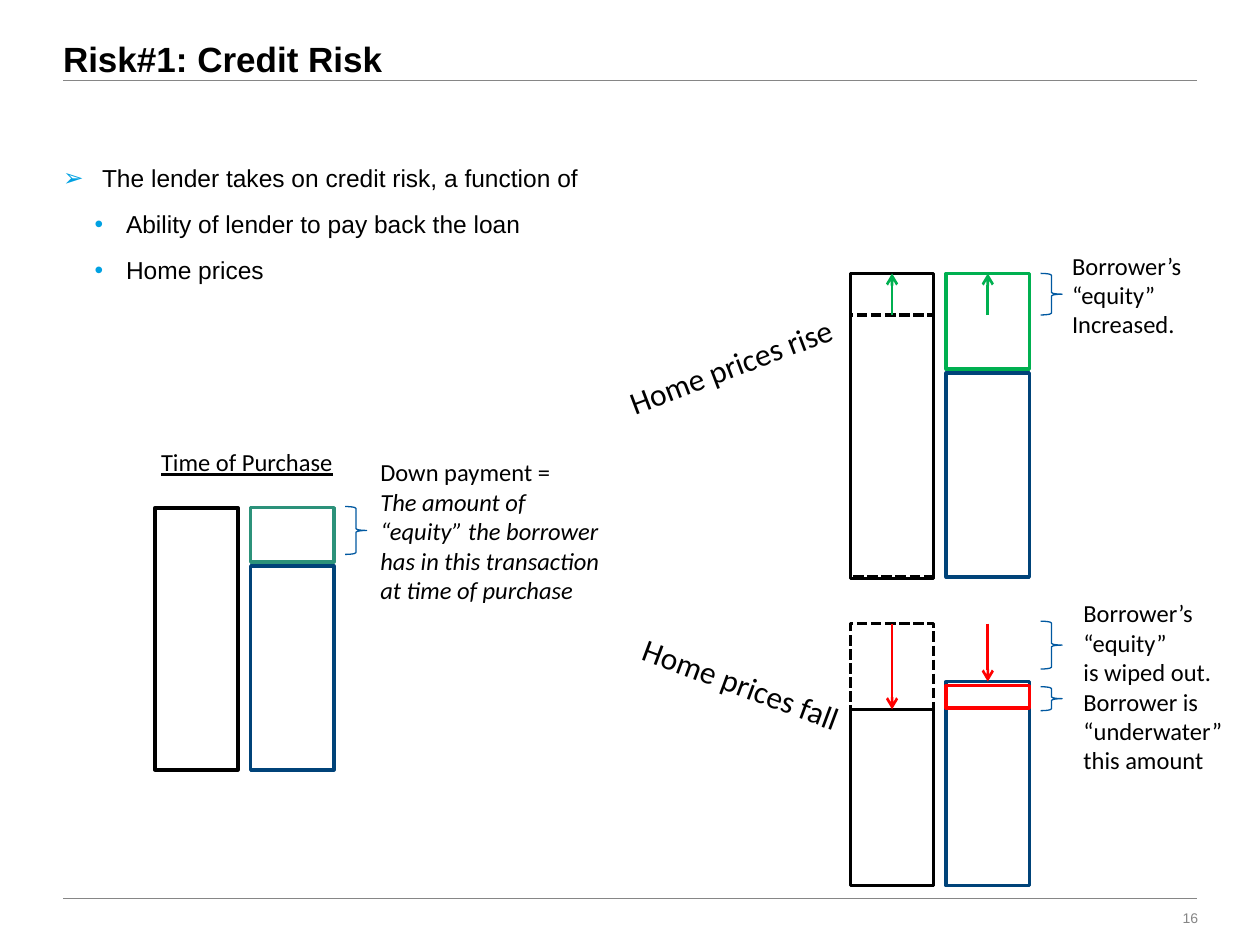
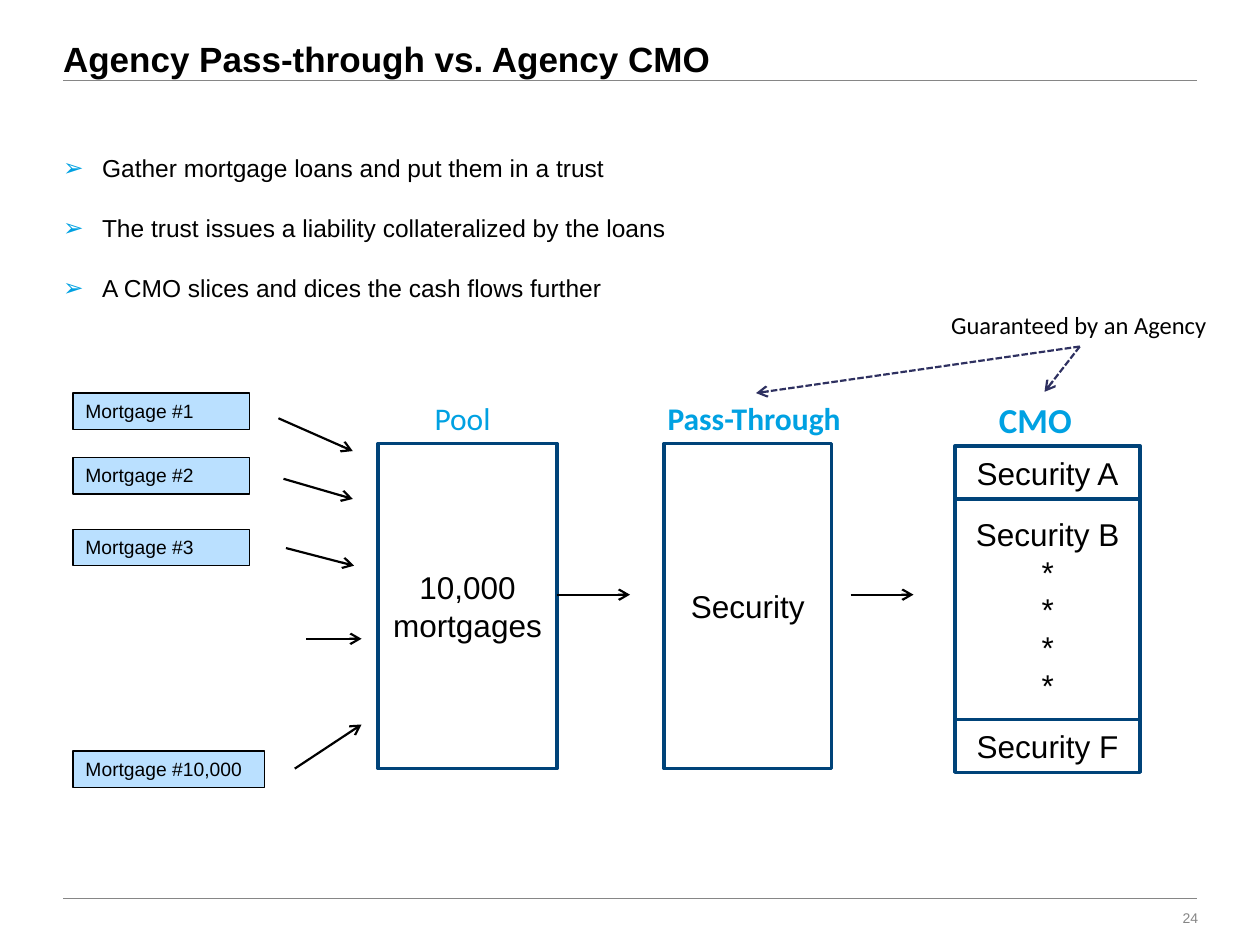
from dataclasses import dataclass

from lxml.etree import SubElement
from pptx import Presentation
from pptx.dml.color import RGBColor
from pptx.enum.dml import MSO_LINE
from pptx.enum.shapes import MSO_CONNECTOR, MSO_SHAPE
from pptx.enum.text import MSO_ANCHOR, MSO_AUTO_SIZE, PP_ALIGN
from pptx.oxml.ns import qn
from pptx.util import Inches, Pt


@dataclass(frozen=True)
class Theme:
    black: str = "000000"
    rule: str = "868686"
    accent: str = "00A1E2"
    navy: str = "004379"
    brace: str = "0058A0"
    teal: str = "2C927A"
    green: str = "00B050"
    red: str = "FF0000"
    loan_fill: str = "BAE0FF"
    guarantee: str = "2E3060"
    heading_font: str = "Arial"
    note_font: str = "Calibri"
    title_size: float = 20
    label_size: float = 18
    body_size: float = 14
    loan_size: float = 11
    number_size: float = 8
    bar_line: float = 2
    arrow_line: float = 1.25
    price_arrow_line: float = 1.5
    thin_line: float = 0.75


THEME = Theme()
BULLETS = (("➢", 0.31, 0.31, 14), ("•", 0.5, 0.25, 6))
BAR_WIDTH, BAR_STEP = 0.66, 0.76


def place(shape, left, top, width, height):
    shape.left, shape.top = Inches(left), Inches(top)
    shape.width, shape.height = Inches(width), Inches(height)


def style_font(font, size, color=THEME.black, name=THEME.heading_font, **flags):
    font.size, font.name = Pt(size), name
    font.color.rgb = RGBColor.from_string(color)
    for flag, value in flags.items():
        setattr(font, flag, value)


def style_line(line, color, weight, dashed=False):
    line.color.rgb = RGBColor.from_string(color)
    line.width = Pt(weight)
    if dashed:
        line.dash_style = MSO_LINE.SQUARE_DOT


def clear_margins(frame):
    frame.margin_left = frame.margin_right = frame.margin_top = frame.margin_bottom = 0


def add_line(page, start, end, color, weight, dashed=False, arrow=False):
    line = page.shapes.add_connector(
        MSO_CONNECTOR.STRAIGHT, *(Inches(value) for value in (*start, *end)))
    style_line(line.line, color, weight, dashed)
    if arrow:
        SubElement(line.line._get_or_add_ln(), qn("a:tailEnd"), type="arrow")
    SubElement(line._element.spPr, qn("a:effectLst"))


def add_outline(page, box, color, weight=THEME.bar_line, dashed=False,
                kind=MSO_SHAPE.RECTANGLE, fill=None):
    shape = page.shapes.add_shape(kind, *(Inches(value) for value in box))
    shape.shadow.inherit = False
    if fill:
        shape.fill.solid()
        shape.fill.fore_color.rgb = RGBColor.from_string(fill)
    else:
        shape.fill.background()
    style_line(shape.line, color, weight, dashed)
    return shape


def write_lines(frame, lines, size, align=PP_ALIGN.LEFT, **font):
    for index, text in enumerate(lines):
        para = frame.add_paragraph() if index else frame.paragraphs[0]
        para.text, para.alignment = text, align
        style_font(para.font, size, **font)


def add_note(page, box, lines, size=THEME.body_size, wrap=False, rotation=0, **font):
    note = page.shapes.add_textbox(*(Inches(value) for value in box))
    note.rotation = rotation
    note.text_frame.word_wrap = wrap
    write_lines(note.text_frame, lines, size, **{"name": THEME.note_font, **font})
    return note


def add_labelled_box(page, box, lines):
    shape = add_outline(page, box, THEME.navy)
    shape.text_frame.vertical_anchor = MSO_ANCHOR.MIDDLE
    write_lines(shape.text_frame, lines, THEME.label_size, PP_ALIGN.CENTER)


def add_page(deck, title, number):
    page = deck.slides.add_slide(deck.slide_layouts[1])
    for height in (0.64, 7.13):
        add_line(page, (0.5, height), (9.5, height), THEME.rule, 1)
    heading = page.shapes.title
    place(heading, 0.5, 0.3, 8.99, 0.34)
    frame = heading.text_frame
    clear_margins(frame)
    frame.auto_size, frame.vertical_anchor = MSO_AUTO_SIZE.NONE, MSO_ANCHOR.TOP
    write_lines(frame, [title], THEME.title_size, bold=True)
    footer = add_note(page, (9.37, 7.22, 0.14, 0.13), [number], THEME.number_size,
                      name=THEME.heading_font, color=THEME.rule, align=PP_ALIGN.RIGHT)
    clear_margins(footer.text_frame)
    return page


def fill_body(page, box, items):
    body = page.placeholders[1]
    place(body, *box)
    frame = body.text_frame
    clear_margins(frame)
    frame.auto_size, frame.vertical_anchor = MSO_AUTO_SIZE.NONE, MSO_ANCHOR.TOP
    for index, (level, text) in enumerate(items):
        para = frame.add_paragraph() if index else frame.paragraphs[0]
        mark, margin, hanging, before = BULLETS[level]
        para.text, para.level, para.line_spacing = text, level, 1.2
        para.space_before = Pt(before if index else 0)
        properties = para._p.get_or_add_pPr()
        properties.set("marL", str(Inches(margin)))
        properties.set("indent", str(-Inches(hanging)))
        color = SubElement(properties, qn("a:buClr"))
        SubElement(color, qn("a:srgbClr"), val=THEME.accent)
        SubElement(properties, qn("a:buFont"), typeface="Arial")
        SubElement(properties, qn("a:buChar"), char=mark)
        style_font(para.font, THEME.body_size)


def add_bars(page, left, top, bars, braces, arrows=()):
    for column, offset, height, color, dashed in bars:
        box = (left + column * BAR_STEP, top + offset, BAR_WIDTH, height)
        add_outline(page, box, color, dashed=dashed)
    for offset, height in braces:
        add_outline(page, (left + 1.51, top + offset, 0.17, height), THEME.brace,
                    THEME.thin_line, kind=MSO_SHAPE.RIGHT_BRACE)
    for column, start, end, color in arrows:
        middle = left + column * BAR_STEP + BAR_WIDTH / 2
        add_line(page, (middle, top + start), (middle, top + end), color,
                 THEME.price_arrow_line, arrow=True)


def add_purchase(page, left, top):
    add_bars(page, left, top,
             [(1, 0, 0.43, THEME.teal, False),
              (1, 0.46, 1.62, THEME.navy, False),
              (0, 0, 2.08, THEME.black, False)],
             [(-0.01, 0.38)])
    add_note(page, (left - 0.05, top - 0.53, 1.57, 0.34), ["Time of Purchase"],
             underline=True)
    payment = add_note(page, (left + 1.69, top - 0.45, 1.99, 1.28),
                       ["Down payment =", "The amount of", "“equity” the borrower",
                        "has in this transaction", "at time of purchase"])
    for para in payment.text_frame.paragraphs[1:]:
        para.font.italic = True


def add_price_rise(page, left, top):
    add_bars(page, left, top,
             [(1, 0, 0.76, THEME.green, False),
              (1, 0.79, 1.62, THEME.navy, False),
              (0, 0, 2.42, THEME.black, False),
              (0, 0.33, 2.08, THEME.black, True)],
             [(0, 0.33)],
             [(column, 0.33, 0, THEME.green) for column in (0, 1)])
    add_note(page, (left - 1.91, top + 0.47, 2.25, 0.4), ["Home prices rise"],
             THEME.label_size, True, 339.2)
    add_note(page, (left + 1.66, top - 0.23, 1.12, 0.81),
             ["Borrower’s", "“equity”", "Increased."])


def add_price_fall(page, left, top):
    add_bars(page, left, top,
             [(1, 0.46, 1.62, THEME.navy, False),
              (0, 0.68, 1.4, THEME.black, False),
              (0, 0, 2.08, THEME.black, True),
              (1, 0.49, 0.18, THEME.red, False)],
             [(-0.02, 0.38), (0.5, 0.19)],
             [(0, 0, 0.68, THEME.red), (1, 0, 0.46, THEME.red)])
    add_note(page, (left - 1.79, top + 0.31, 2.03, 0.4), ["Home prices fall"],
             THEME.label_size, True, 20.4)
    add_note(page, (left + 1.75, top - 0.25, 1.32, 1.51),
             ["Borrower’s", "“equity”", "is wiped out.", "Borrower is",
              "“underwater”", "this amount"])


def add_mortgages(page, left, top):
    for label, offset, width in (("#1", 0, 1.4), ("#2", 0.51, 1.4),
                                 ("#3", 1.08, 1.4), ("#10,000", 2.84, 1.52)):
        loan = add_outline(page, (left, top + offset, width, 0.29), THEME.black,
                           THEME.thin_line, fill=THEME.loan_fill)
        loan.text_frame.vertical_anchor = MSO_ANCHOR.TOP
        write_lines(loan.text_frame, [f"Mortgage {label}"], THEME.loan_size)
    for start, end in (((1.63, 0.2), (2.22, 0.46)), ((1.67, 0.68), (2.22, 0.84)),
                       ((1.69, 1.23), (2.23, 1.37)), ((1.85, 1.95), (2.29, 1.95)),
                       ((1.76, 2.98), (2.29, 2.63))):
        add_line(page, (left + start[0], top + start[1]), (left + end[0], top + end[1]),
                 THEME.black, THEME.arrow_line, arrow=True)


def add_stage(page, left, top, width, label, label_box, content, bold, arrow):
    add_labelled_box(page, (left, top, width, 2.58), [content])
    add_note(page, (left + label_box[0], top - 0.4, label_box[1], 0.4), [label],
             THEME.label_size, color=THEME.accent, bold=bold)
    start, end = arrow
    add_line(page, (left + start, top + 1.2), (left + end, top + 1.2),
             THEME.black, THEME.arrow_line, arrow=True)


def add_tranches(page, left, top):
    for lines, height in ((["Security A"], 0.42), (["Security B"] + ["*"] * 4, 1.75),
                          (["Security F"], 0.42)):
        add_labelled_box(page, (left, top, 1.47, height), lines)
        top += height


def add_guarantee(page, left, top):
    add_note(page, (left, top, 2.25, 0.34), ["Guaranteed by an Agency"])
    for end in ((-1.45, 0.71), (0.84, 0.7)):
        add_line(page, (left + 1.12, top + 0.34), (left + end[0], top + end[1]),
                 THEME.guarantee, THEME.arrow_line, True, True)


def build_credit_risk(deck):
    page = add_page(deck, "Risk#1: Credit Risk", "16")
    fill_body(page, (0.5, 1.25, 6.58, 0.58),
              [(0, "The lender takes on credit risk, a function of"),
               (1, "Ability of lender to pay back the loan"), (1, "Home prices")])
    add_purchase(page, 1.23, 4.03)
    add_price_rise(page, 6.75, 2.17)
    add_price_fall(page, 6.75, 4.95)


def build_pass_through(deck):
    page = add_page(deck, "Agency Pass-through vs. Agency CMO", "24")
    fill_body(page, (0.5, 1.17, 8.33, 1.42),
              [(0, "Gather mortgage loans and put them in a trust"),
               (0, "The trust issues a liability collateralized by the loans"),
               (0, "A CMO slices and dices the cash flows further")])
    add_mortgages(page, 0.58, 3.12)
    add_stage(page, 3, 3.52, 1.42, "Pool", (0.35, 0.65), "10,000 mortgages",
              False, (1.42, 2))
    add_stage(page, 5.27, 3.52, 1.33, "Pass-Through", (-0.07, 1.6), "Security",
              True, (1.48, 1.98))
    add_tranches(page, 7.58, 3.54)
    add_note(page, (7.83, 3.11, 0.91, 0.42), ["CMO"], THEME.title_size, True,
             color=THEME.accent, bold=True)
    add_guarantee(page, 7.45, 2.41)


def main():
    deck = Presentation()
    deck.slide_width, deck.slide_height = Inches(10), Inches(7.5)
    build_credit_risk(deck)
    build_pass_through(deck)
    deck.save("out.pptx")


if __name__ == "__main__":
    main()
